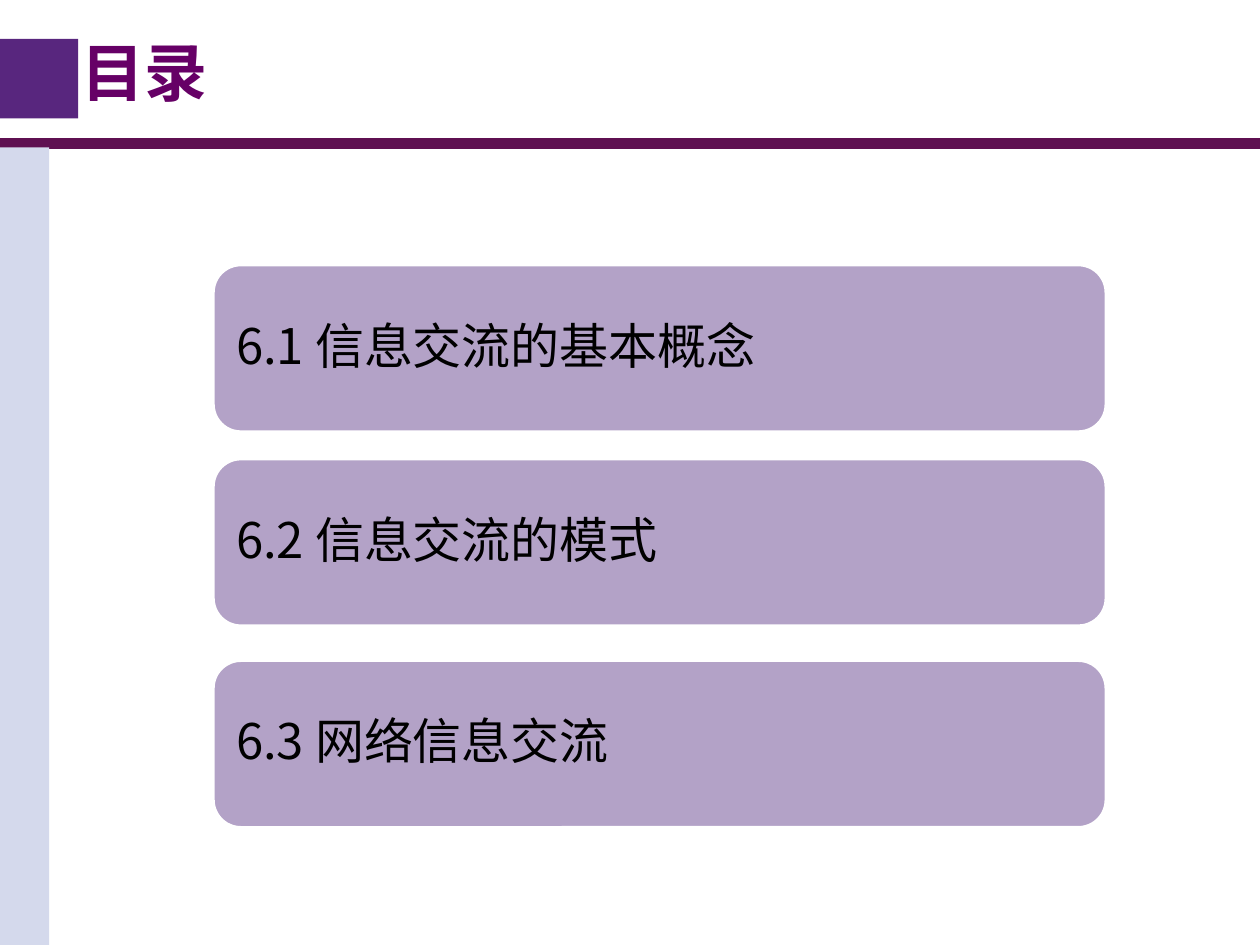
"""Build the contents slide of the chapter on information exchange."""
import pptx
import pptx.dml.color
import pptx.enum.shapes
import pptx.enum.text
import pptx.oxml.ns
import pptx.util
from lxml import etree

Inches = pptx.util.Inches
Pt = pptx.util.Pt
RGBColor = pptx.dml.color.RGBColor
Shape = pptx.enum.shapes.MSO_SHAPE
Anchor = pptx.enum.text.MSO_ANCHOR
Align = pptx.enum.text.PP_ALIGN

WHITE = RGBColor(0xFF, 0xFF, 0xFF)
BLACK = RGBColor(0x00, 0x00, 0x00)
PLUM = RGBColor(0x5F, 0x10, 0x51)
TITLE_PURPLE = RGBColor(0x66, 0x00, 0x66)
DEEP_PURPLE = RGBColor(0x58, 0x26, 0x7E)
PALE_BLUE = RGBColor(0xD4, 0xD9, 0xEC)
LILAC = RGBColor(0xB3, 0xA2, 0xC7)

SECTIONS = [
    (2.1, "6.1 信息交流的基本概念"),
    (3.64, "6.2 信息交流的模式"),
    (5.24, "6.3 网络信息交流"),
]


class ContentsSlide:
    """Hold the slide and its text style, and draw each kind of element."""

    font_name = "Noto Sans CJK SC"

    def __init__(self, deck):
        self.slide = deck.slides.add_slide(deck.slide_layouts[5])

    def label(self, holder, wording, size, color, bold=False, inset=None):
        frame = holder.text_frame
        frame.text = wording
        frame.word_wrap = True
        frame.auto_size = pptx.enum.text.MSO_AUTO_SIZE.NONE
        frame.vertical_anchor = Anchor.MIDDLE
        if inset is not None:
            for side in ("left", "top", "right", "bottom"):
                setattr(frame, f"margin_{side}", Inches(inset))
        paragraph = frame.paragraphs[0]
        paragraph.alignment = Align.LEFT
        font = paragraph.runs[0].font
        style = {"name": self.font_name, "size": Pt(size), "bold": bold}
        for attribute, value in style.items():
            setattr(font, attribute, value)
        font.color.rgb = color
        east_asian = etree.SubElement(font._element, pptx.oxml.ns.qn("a:ea"))
        east_asian.set("typeface", self.font_name)
        return paragraph

    def title(self, wording, left, top, width, height):
        heading = self.slide.shapes.title
        place = {"left": left, "top": top, "width": width, "height": height}
        for attribute, value in place.items():
            setattr(heading, attribute, Inches(value))
        self.label(heading, wording, 36, TITLE_PURPLE, bold=True)

    def rule(self, y, width, color, weight):
        divider = self.slide.shapes.add_connector(
            pptx.enum.shapes.MSO_CONNECTOR.STRAIGHT,
            0, Inches(y), Inches(width), Inches(y))
        divider.line.color.rgb = color
        divider.line.width = Pt(weight)
        properties = divider._element.spPr
        etree.SubElement(properties, pptx.oxml.ns.qn("a:effectLst"))

    def block(self, kind, box, fill, outline=None):
        panel = self.slide.shapes.add_shape(kind, *map(Inches, box))
        panel.shadow.inherit = False
        panel.fill.solid()
        panel.fill.fore_color.rgb = fill
        if outline is None:
            panel.line.fill.background()
        else:
            panel.line.color.rgb = outline
            panel.line.width = Pt(2)
        return panel

    def section(self, top, wording):
        card = self.block(
            Shape.ROUNDED_RECTANGLE, (1.69, top, 7.09, 1.33), LILAC, WHITE)
        entry = self.label(card, wording, 28, BLACK, inset=0.12)
        entry.line_spacing = 0.9


def main():
    deck = pptx.Presentation()
    deck.slide_width, deck.slide_height = Inches(10), Inches(7.5)
    contents = ContentsSlide(deck)
    contents.rule(1.14, 10, PLUM, 6.5)
    contents.title("目录", 0.55, 0.13, 4.4, 0.88)
    contents.block(Shape.RECTANGLE, (0, 0.31, 0.62, 0.63), DEEP_PURPLE)
    contents.block(Shape.RECTANGLE, (0, 1.17, 0.39, 6.33), PALE_BLUE)
    for top, wording in SECTIONS:
        contents.section(top, wording)
    deck.save("out.pptx")


if __name__ == "__main__":
    main()
